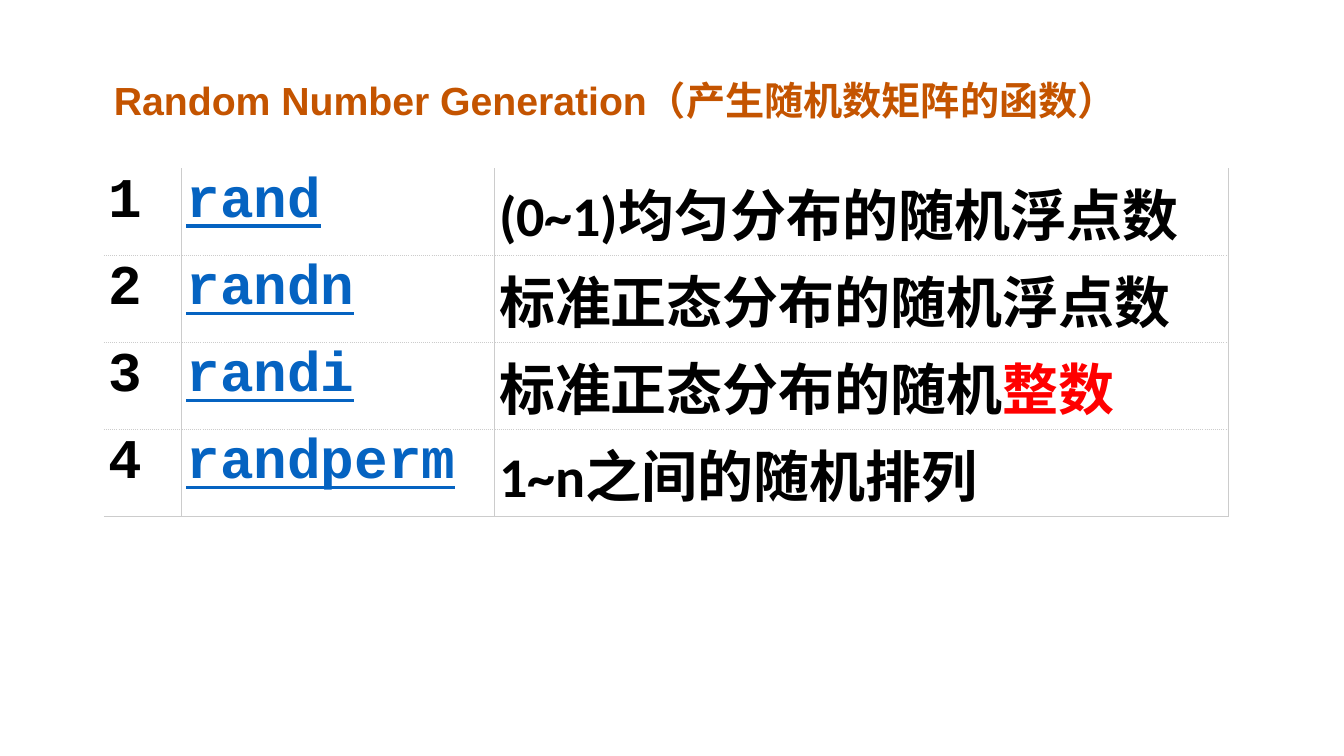
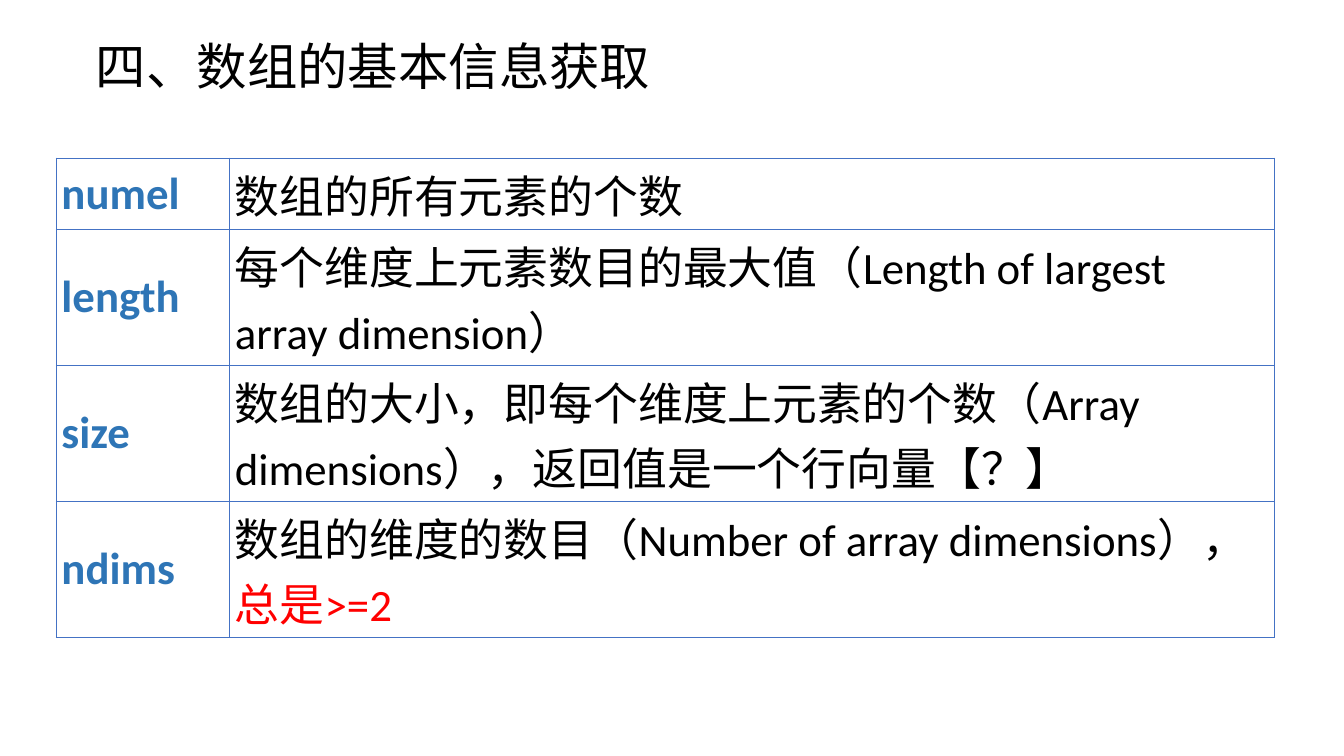
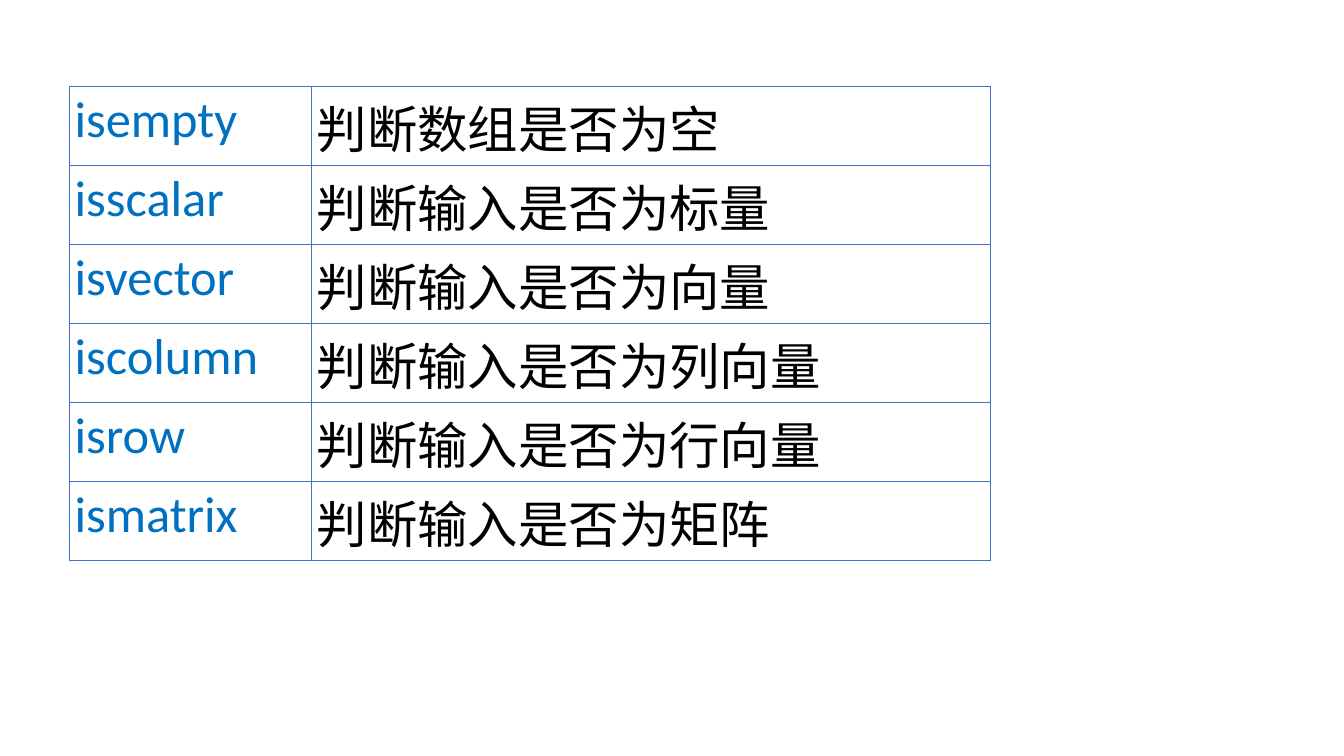
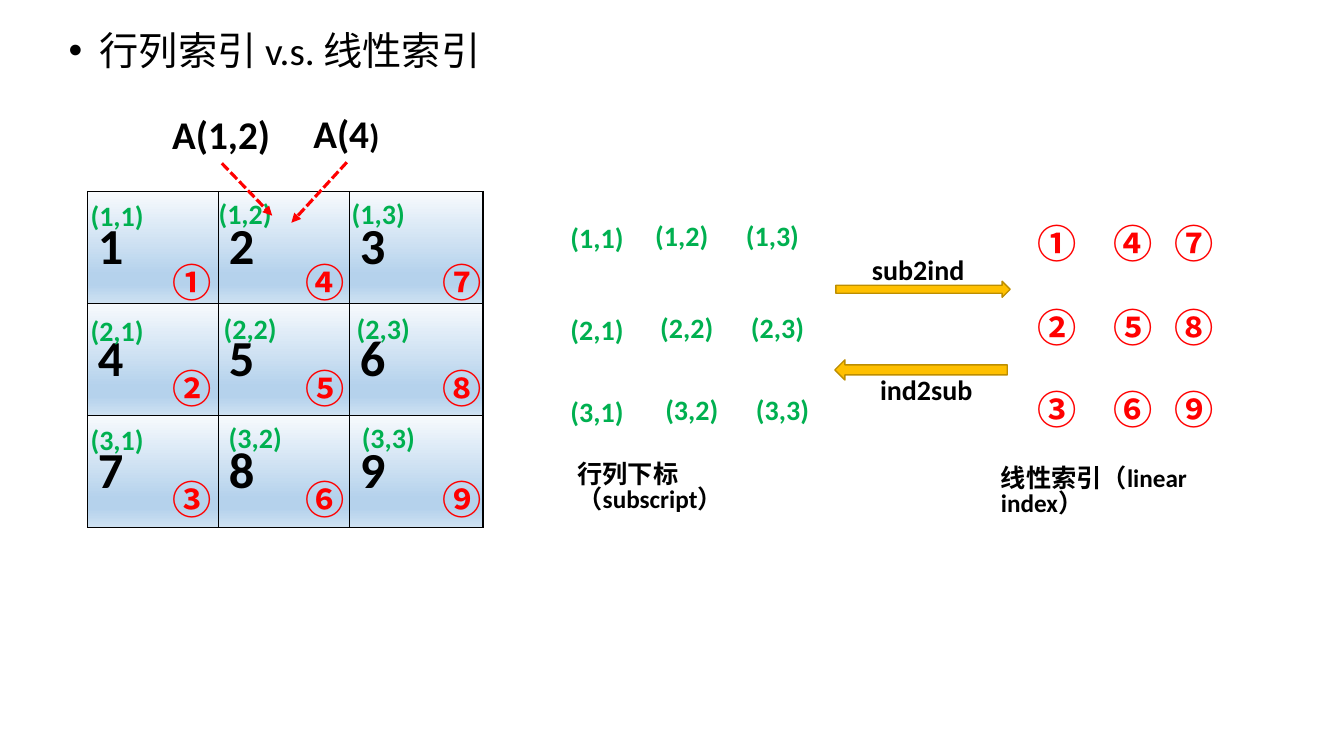
from dataclasses import dataclass, replace
from itertools import product

from pptx import Presentation
from pptx.dml.color import RGBColor
from pptx.enum.dml import MSO_LINE
from pptx.enum.shapes import MSO_CONNECTOR, MSO_SHAPE
from pptx.enum.text import MSO_ANCHOR, MSO_AUTO_SIZE, PP_ALIGN
from pptx.oxml import parse_xml
from pptx.oxml.ns import nsdecls
from pptx.util import Inches, Pt


@dataclass(frozen=True)
class Look:
    size: int
    color: str = "000000"
    bold: bool = False
    font: str = "Calibri"
    under: bool = False


@dataclass(frozen=True)
class Theme:
    asian: str = "Noto Sans CJK SC"
    white: str = "FFFFFF"
    red: str = "FF0000"
    gold: str = "FFC000"
    amber: str = "BD8E00"
    grid: tuple = ("4472C4", 1, "solid")
    rule: tuple = ("CCCCCC", 0.75, "solid")
    dots: tuple = ("CCCCCC", 0.75, "sysDot")
    frame: tuple = ("000000", 1, "solid")
    shade: tuple = ((0, "F7FAFD"), (74, "B5D2EC"), (83, "B5D2EC"), (100, "CEE1F2"))
    topic: Look = Look(28, "C45400", True, "Arial")
    head: Look = Look(36)
    item: Look = Look(28)
    index: Look = Look(40, bold=True, font="Courier New")
    link: Look = Look(40, "0563C1", True, "Courier New", True)
    note: Look = Look(40, bold=True)
    name: Look = Look(32, "2E75B6", True)
    info: Look = Look(32)
    test: Look = Look(36, "0070C0")
    digit: Look = Look(36, bold=True)
    call: Look = Look(28, bold=True)
    pair: Look = Look(20, "00B050", True)
    ring: Look = Look(28, "FF0000", True, "Noto Sans CJK SC")
    label: Look = Look(20, bold=True)
    small: Look = Look(18, bold=True)


class Deck:
    """Build slides in one shared style."""

    def __init__(self, theme):
        self.theme = theme
        self.show = Presentation()
        self.show.slide_width, self.show.slide_height = Inches(13.33), Inches(7.5)

    def slide(self, layout):
        self.page = self.show.slides.add_slide(self.show.slide_layouts[layout])
        self.shapes = self.page.shapes

    def style(self, run, look):
        font = run.font
        font.name, font.size = look.font, Pt(look.size)
        font.bold, font.underline = look.bold, look.under
        font.color.rgb = RGBColor.from_string(look.color)
        asian = parse_xml(f'<a:ea {nsdecls("a")} typeface="{self.theme.asian}"/>')
        font._element.find("{*}latin").addnext(asian)

    def letter(self, frame, text, look, tail="", end=None):
        frame.text = text
        line = frame.paragraphs[0]
        line.alignment = PP_ALIGN.LEFT
        self.style(line.runs[0], look)
        if tail:
            run = line.add_run()
            run.text = tail
            self.style(run, end)
        return line

    def place(self, shape, box):
        shape.left, shape.top, shape.width, shape.height = map(Inches, box)
        shape.text_frame.auto_size = MSO_AUTO_SIZE.NONE
        shape.text_frame.word_wrap = True

    def title(self, text, look, box, anchor=MSO_ANCHOR.TOP, space=1.0):
        shape = self.shapes.title
        self.place(shape, box)
        shape.text_frame.vertical_anchor = anchor
        self.letter(shape.text_frame, text, look).line_spacing = space

    def bullet(self, text, box):
        title = self.shapes.title._element
        title.getparent().remove(title)
        body = self.page.placeholders[1]
        self.place(body, box)
        line = self.letter(body.text_frame, text, self.theme.item)
        line.space_before = Pt(0)
        props = line._p.get_or_add_pPr()
        props.set("marL", str(Inches(0.31)))
        props.set("indent", str(-Inches(0.31)))

    def text(self, text, look, box, wrap=False, space=None, tail="", end=None):
        frame = self.shapes.add_textbox(*map(Inches, box)).text_frame
        frame.word_wrap = wrap
        self.letter(frame, text, look, tail, end).line_spacing = space

    def table(self, spot, cols, high, rows, looks, edges, anchors=None, pad=(0.05, 0.03), fill=None):
        size = sum(cols), high * len(rows)
        table = self.shapes.add_table(len(rows), len(cols), *map(Inches, spot + size)).table
        table.first_row = table.horz_banding = False
        for col, wide in zip(table.columns, cols):
            col.width = Inches(wide)
        for r, c in product(range(len(rows)), range(len(cols))):
            cell = table.cell(r, c)
            cell.margin_left = cell.margin_right = Inches(pad[0])
            cell.margin_top = cell.margin_bottom = Inches(pad[1])
            cell.vertical_anchor = anchors[c] if anchors else MSO_ANCHOR.TOP
            text, tail = rows[r][c] if isinstance(rows[r][c], tuple) else (rows[r][c], "")
            self.letter(cell.text_frame, text, looks[c], tail, replace(looks[c], color=self.theme.red))
            self.fill(cell, fill)
            self.border(cell, edges(r, c))

    def fill(self, cell, fill):
        if fill is None:
            cell.fill.background()
        elif isinstance(fill, str):
            cell.fill.solid()
            cell.fill.fore_color.rgb = RGBColor.from_string(fill)
        else:
            stops = "".join(
                f'<a:gs pos="{at * 1000}"><a:srgbClr val="{color}"/></a:gs>' for at, color in fill)
            cell._tc.get_or_add_tcPr().append(parse_xml(
                f'<a:gradFill {nsdecls("a")}><a:gsLst>{stops}</a:gsLst>'
                '<a:lin ang="5400000" scaled="0"/></a:gradFill>'))

    def border(self, cell, edges):
        props = cell._tc.get_or_add_tcPr()
        for spot, (side, edge) in enumerate(zip("LRTB", edges)):
            color, wide, dash = edge or (None, 0, "solid")
            paint = (f'<a:solidFill><a:srgbClr val="{color}"/></a:solidFill>'
                     f'<a:prstDash val="{dash}"/>' if edge else "<a:noFill/>")
            props.insert(spot, parse_xml(
                f'<a:ln{side} {nsdecls("a")} w="{Pt(wide)}">{paint}</a:ln{side}>'))

    def grid(self, marks, look, xs, ys, size, drift=0.0, drop=0.0):
        for (r, y), (c, x) in product(enumerate(ys), enumerate(xs)):
            spot = (x + drift * r, y) if c else (x, y + drop)
            self.text(marks[r][c], look, spot + size)

    def arrow(self, start, stop):
        line = self.shapes.add_connector(MSO_CONNECTOR.STRAIGHT, *map(Inches, start + stop))
        line.line.color.rgb = RGBColor.from_string(self.theme.red)
        line.line.width = Pt(2.25)
        line.line.dash_style = MSO_LINE.SQUARE_DOT
        line.line._get_or_add_ln().append(
            parse_xml(f'<a:tailEnd {nsdecls("a")} type="triangle"/>'))
        line._element.spPr.append(parse_xml(f'<a:effectLst {nsdecls("a")}/>'))

    def block(self, kind, box):
        shape = self.shapes.add_shape(kind, *map(Inches, box))
        shape.shadow.inherit = False
        shape.fill.solid()
        shape.fill.fore_color.rgb = RGBColor.from_string(self.theme.gold)
        shape.line.color.rgb = RGBColor.from_string(self.theme.amber)
        shape.line.width = Pt(1)


def random(deck):
    theme = deck.theme
    rows = [
        ("1", "rand", "(0~1)均匀分布的随机浮点数"),
        ("2", "randn", "标准正态分布的随机浮点数"),
        ("3", "randi", ("标准正态分布的随机", "整数")),
        ("4", "randperm", "1~n之间的随机排列"),
    ]

    def edges(r, c):
        return (theme.rule if c else None, theme.rule,
                theme.dots if r else None, theme.dots if r < len(rows) - 1 else theme.rule)

    deck.slide(5)
    deck.title("Random Number Generation（产生随机数矩阵的函数）", theme.topic, (1.03, 0.71, 11, 0.57))
    deck.table((1.03, 1.67), (0.77, 3.1, 7.28), 0.86, rows,
               (theme.index, theme.link, theme.note), edges, fill=theme.white)


def basics(deck):
    theme = deck.theme
    rows = [
        ("numel", "数组的所有元素的个数"),
        ("length", "每个维度上元素数目的最大值（Length of largest array dimension）"),
        ("size", "数组的大小，即每个维度上元素的个数（Array dimensions），返回值是一个行向量【？】"),
        ("ndims", ("数组的维度的数目（Number of array dimensions），", "总是>=2")),
    ]
    deck.slide(5)
    deck.title("四、数组的基本信息获取", theme.head, (0.85, 0.31, 5.86, 0.75), MSO_ANCHOR.MIDDLE, 0.9)
    deck.table((0.56, 1.57), (1.72, 10.36), 0.7, rows, (theme.name, theme.info),
               lambda r, c: [theme.grid] * 4, (MSO_ANCHOR.MIDDLE, MSO_ANCHOR.TOP))


def checks(deck):
    theme = deck.theme
    rows = [
        ("isempty", "判断数组是否为空"),
        ("isscalar", "判断输入是否为标量"),
        ("isvector", "判断输入是否为向量"),
        ("iscolumn", "判断输入是否为列向量"),
        ("isrow", "判断输入是否为行向量"),
        ("ismatrix", "判断输入是否为矩阵"),
    ]
    deck.slide(6)
    deck.table((0.69, 0.86), (2.4, 6.73), 0.78, rows, (theme.test, theme.head),
               lambda r, c: [theme.grid] * 4)


def indexes(deck):
    theme = deck.theme
    three = range(1, 4)
    digits = [[str(3 * r + c) for c in three] for r in range(3)]
    pairs = [[f"({r},{c})" for c in three] for r in three]
    rings = ["①④⑦", "②⑤⑧", "③⑥⑨"]
    tag, dot = (0.73, 0.44), (0.55, 0.57)

    deck.slide(1)
    deck.bullet("行列索引 v.s. 线性索引", (0.58, 0.21, 11.52, 0.57))
    deck.table((0.87, 1.9), (1.3, 1.3, 1.32), 1.11, digits, [theme.digit] * 3,
               lambda r, c: [theme.frame] * 4, [MSO_ANCHOR.MIDDLE] * 3, (0.1, 0.05), theme.shade)
    deck.grid(pairs, theme.pair, (0.8, 2.07, 3.39), (1.9, 3.04, 4.12), tag, 0.05, 0.02)
    deck.grid(rings, theme.ring, (1.61, 2.93, 4.29), (2.51, 3.57, 4.67), dot)

    deck.text("A(1,2)", theme.call, (1.61, 1.05, 1.19, 0.57))
    deck.text("A(4", theme.call, (3.01, 1.04, 0.87, 0.57), tail=")", end=replace(theme.call, size=24))
    deck.arrow((2.2, 1.62), (2.7, 2.14))
    deck.arrow((3.44, 1.61), (2.89, 2.21))

    deck.block(MSO_SHAPE.RIGHT_ARROW, (8.29, 2.79, 1.73, 0.16))
    deck.text("sub2ind", theme.label, (8.55, 2.46, 1.13, 0.44))
    deck.block(MSO_SHAPE.LEFT_ARROW, (8.28, 3.57, 1.71, 0.2))
    deck.text("ind2sub", theme.label, (8.63, 3.65, 1.13, 0.44))

    deck.grid(pairs, theme.pair, (5.56, 6.4, 7.3), (2.12, 3.03, 3.84), tag, 0.05, 0.02)
    deck.grid(rings, theme.ring, (10.19, 10.95, 11.55), (2.13, 2.96, 3.77), dot)
    deck.text("线性索引（linear index）", theme.small, (9.83, 4.59, 2.3, 0.7), True, 0.83)
    deck.text("行列下标（subscript）", theme.small, (5.63, 4.55, 1.9, 0.7), True, 0.83)


def main():
    deck = Deck(Theme())
    for build in (random, basics, checks, indexes):
        build(deck)
    deck.show.save("out.pptx")


if __name__ == "__main__":
    main()
